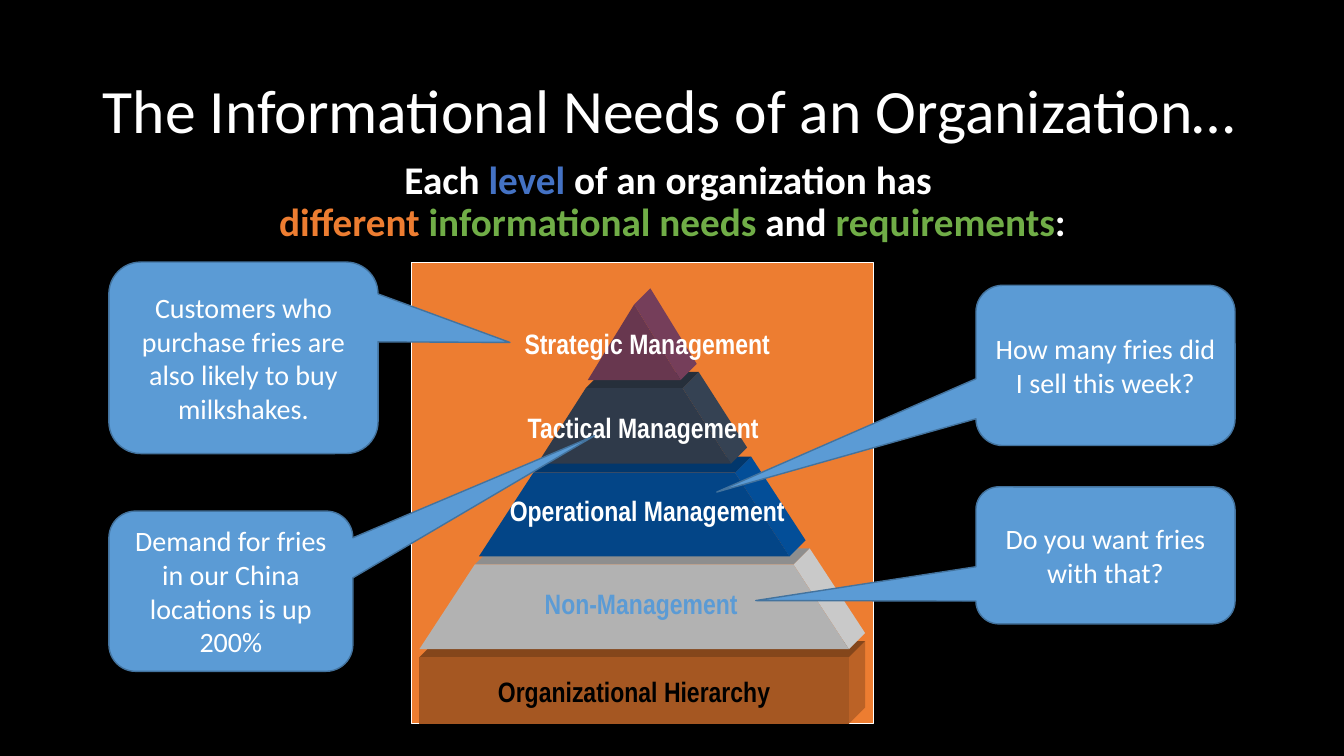
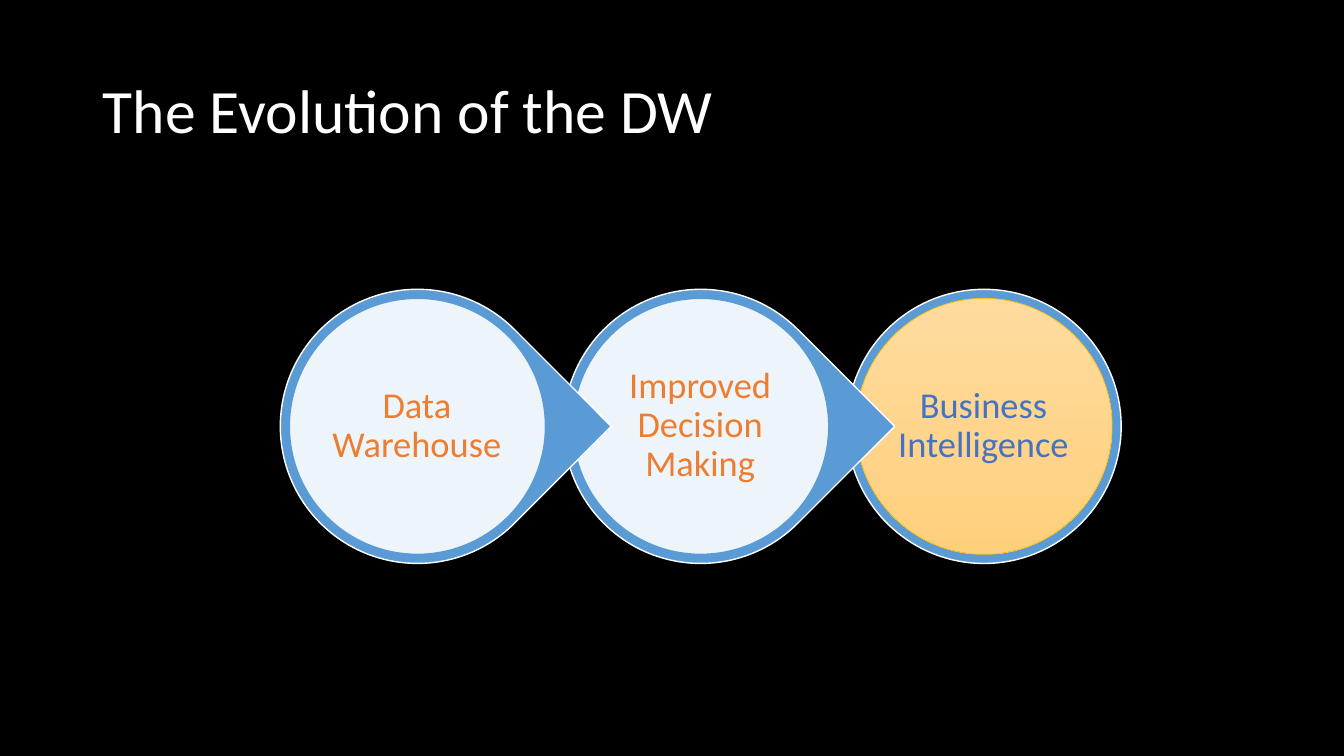
import pptx
import pptx.util
import pptx.dml.color
import pptx.enum.shapes
import pptx.enum.text
import pptx.oxml.ns
import lxml.etree

Inches = pptx.util.Inches
Pt = pptx.util.Pt
RGB = pptx.dml.color.RGBColor
Kind = pptx.enum.shapes.MSO_SHAPE
Align = pptx.enum.text.PP_ALIGN
Anchor = pptx.enum.text.MSO_ANCHOR


class Theme:
    """Colours, fonts and type sizes of the deck."""
    black, white = "000000", "FFFFFF"
    blue, edge, royal = "5B9BD5", "43739E", "4472C4"
    orange, green = "ED7D31", "70AD47"
    navy, slate, plum = "0563C1", "44546A", "954F72"
    gold, light, deep = "FFC000", "FFDB9E", "FFD07C"
    body, narrow = "Calibri", "Arial Narrow"
    title, lead, stage, note = 44, 28, 26, 20


def paint(shape, fill, line=None, width=1, shade=1):
    """Fill and outline a shape; shade below 1 darkens the fill."""
    shape.shadow.inherit = False
    shape.fill.solid()
    shape.fill.fore_color.rgb = RGB(*[int(c * shade) for c in RGB.from_string(fill)])
    if line:
        shape.line.color.rgb = RGB.from_string(line)
        shape.line.width = Pt(width)
    else:
        shape.line.fill.background()


def write(frame, parts, size, font=Theme.body, bold=False, align=Align.CENTER, space=None):
    """Write (text, colour) parts as one paragraph; \\v breaks a line."""
    frame.word_wrap = True
    para = frame.paragraphs[0]
    para.alignment = align
    para.line_spacing = space
    for text, color in parts:
        for n, piece in enumerate(text.split("\v")):
            if n:
                para.add_line_break()
            if piece:
                run = para.add_run()
                run.text = piece
                run.font.size = Pt(size)
                run.font.name = font
                run.font.bold = bold
                run.font.color.rgb = RGB.from_string(color)


deck = pptx.Presentation()
deck.slide_width, deck.slide_height = Inches(13.33), Inches(7.5)
back = deck.slide_master.background.fill
back.solid()
back.fore_color.rgb = RGB.from_string(Theme.black)

slides = []
for name in ["The Informational Needs of an Organization…", "The Evolution of the DW"]:
    slide = deck.slides.add_slide(deck.slide_layouts[5])
    title = slide.shapes.title
    title.left, title.top = Inches(0.92), Inches(0.4)
    title.width, title.height = Inches(11.5), Inches(1.45)
    title.text_frame.vertical_anchor = Anchor.MIDDLE
    write(title.text_frame, [(name, Theme.white)], Theme.title, align=Align.LEFT, space=0.9)
    slides.append(slide)
needs, growth = [slide.shapes for slide in slides]

# Informational needs: lead text
lead = needs.add_textbox(Inches(2.17), Inches(1.54), Inches(9), Inches(1.05))
write(lead.text_frame, [
    ("Each ", Theme.white), ("level", Theme.royal),
    (" of an organization has \v", Theme.white), ("different ", Theme.orange),
    ("informational needs ", Theme.green), ("and ", Theme.white),
    ("requirements", Theme.green), (":", Theme.white)],
    Theme.lead, bold=True, space=0.9)

# Pyramid: each tier has a front, a right side and a top face
panel = needs.add_shape(Kind.RECTANGLE, Inches(4.08), Inches(2.6), Inches(4.58), Inches(4.58))
paint(panel, Theme.orange, Theme.white, 0.75)
mid, depth = 6.29, 0.16
# label, fill, label colour, top, bottom, half top width, half base width, label centre, label top
tiers = [
    ("Organizational Hierarchy", Theme.orange, Theme.black, 6.52, 7.18, 2.13, 2.13, 6.29, 6.64),
    ("Non-Management", Theme.white, Theme.blue, 5.6, 6.44, 1.58, 2.13, 6.36, 5.77),
    ("Operational Management", Theme.navy, Theme.white, 4.69, 5.52, 1, 1.54, 6.42, 4.85),
    ("Tactical Management", Theme.slate, Theme.white, 3.85, 4.6, 0.48, 0.96, 6.38, 4.02),
    ("Strategic Management", Theme.plum, Theme.white, 3.02, 3.77, 0, 0.46, 6.42, 3.19),
]
for label, fill, ink, top, base, near, far, center, high in tiers:
    peak, foot = (mid + near, top), (mid + far, base)
    left, heel = (mid - near, top), (mid - far, base)
    rear, tail, turn = [(x + depth, y - depth) for x, y in (peak, foot, left)]
    faces = [([peak, rear, tail, foot], 0.79), ([left, turn, rear, peak], 0.56),
             ([heel, left, peak, foot], 0.7)]
    for points, shade in faces:
        if near == 0 and shade == 0.56:
            continue
        spots = [(Inches(x), Inches(y)) for x, y in points]
        path = needs.build_freeform(*spots[0])
        path.add_line_segments(spots[1:])
        paint(path.convert_to_shape(), fill, shade=shade)
    box = needs.add_textbox(Inches(center - 1.83), Inches(high), Inches(3.66), Inches(0.44))
    write(box.text_frame, [(label, ink)], Theme.note, Theme.narrow, True)

# Callouts: text, place, pointer
calls = [
    ("Do you want fries with that?", (9.68, 4.83, 2.57, 1.36), (-1.35, 0.33)),
    ("How many fries did I sell this week?", (9.68, 2.83, 2.57, 1.59), (-1.5, 0.79)),
    ("Demand for fries in our China locations is up 200%", (1.08, 5.07, 2.42, 1.59), (1.49, -0.97)),
    ("Customers who purchase fries are also likely to buy milkshakes.",
     (1.08, 2.6, 2.67, 1.9), (0.99, -0.08)),
]
for text, place, tip in calls:
    call = needs.add_shape(Kind.ROUNDED_RECTANGULAR_CALLOUT, *map(Inches, place))
    call.adjustments[0], call.adjustments[1] = tip
    paint(call, Theme.blue, Theme.edge)
    call.text_frame.vertical_anchor = Anchor.MIDDLE
    write(call.text_frame, [(text, Theme.white)], Theme.note)

# Evolution: rings from right to left, so each point overlaps the next ring
stages = [("Data\vWarehouse", Theme.orange), ("Improved Decision\vMaking", Theme.orange),
          ("Business\vIntelligence", Theme.royal)]
ring, step = 2.72, 2.81
for n in reversed(range(len(stages))):
    last = n == len(stages) - 1
    left, top = 2.78 + n * step, 2.87
    outer = growth.add_shape(Kind.OVAL if last else Kind.TEAR, Inches(left), Inches(top),
                             Inches(ring), Inches(ring))
    outer.rotation = 0 if last else 45
    paint(outer, Theme.blue, Theme.white)
    disc = growth.add_shape(Kind.OVAL, Inches(left + 0.09), Inches(top + 0.09),
                            Inches(2.54), Inches(2.54))
    if last:
        paint(disc, Theme.light, Theme.gold, 0.5)
        disc.fill.gradient()
        disc.fill.gradient_angle = 270
        for stop, color in zip(disc.fill.gradient_stops, (Theme.light, Theme.deep)):
            stop.color.rgb = RGB.from_string(color)
    else:
        paint(disc, Theme.white, Theme.blue)
        tint = disc.fill._xPr.find(".//" + pptx.oxml.ns.qn("a:srgbClr"))
        lxml.etree.SubElement(tint, pptx.oxml.ns.qn("a:alpha"), val="90000")
    box = growth.add_textbox(Inches(left + 0.45), Inches(top + 0.45), Inches(1.81), Inches(1.81))
    frame = box.text_frame
    frame.vertical_anchor = Anchor.MIDDLE
    frame.margin_left = frame.margin_right = Inches(0.04)
    frame.margin_top = frame.margin_bottom = Inches(0.04)
    write(frame, [stages[n]], Theme.stage, space=0.9)

deck.save("out.pptx")
